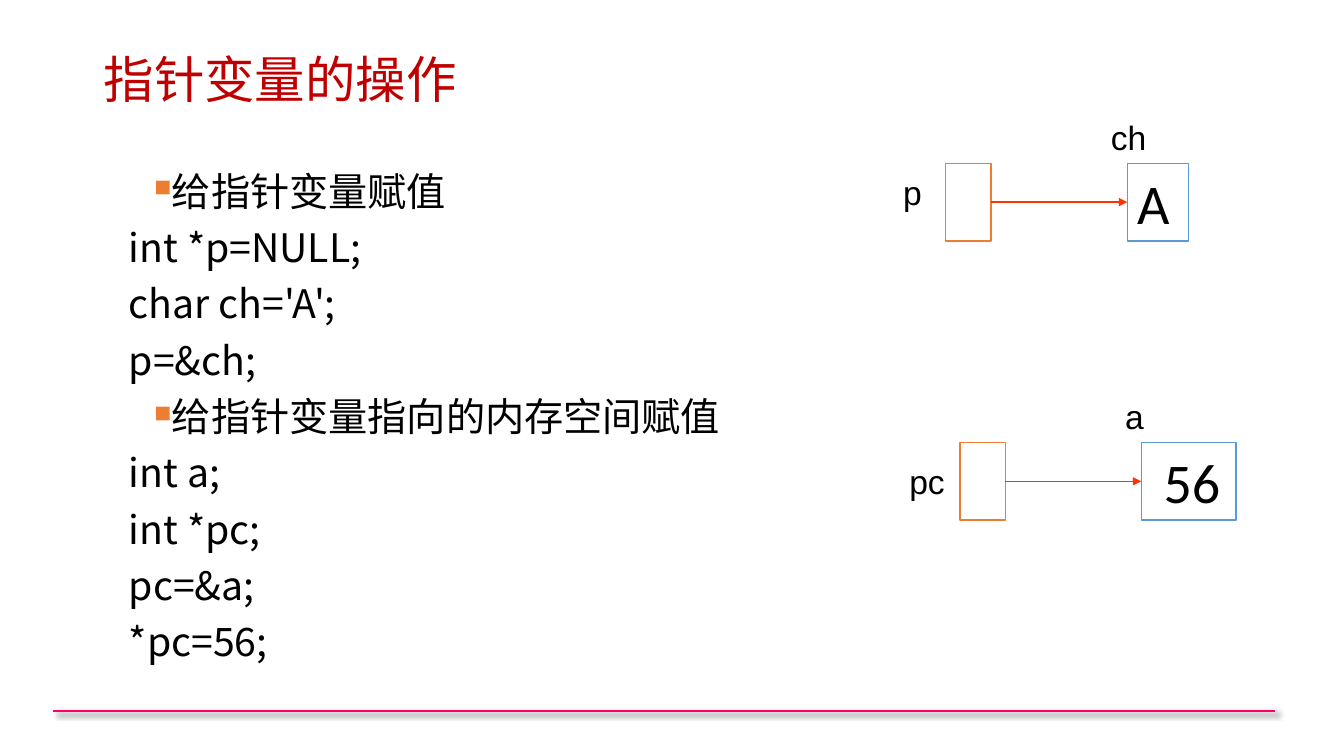
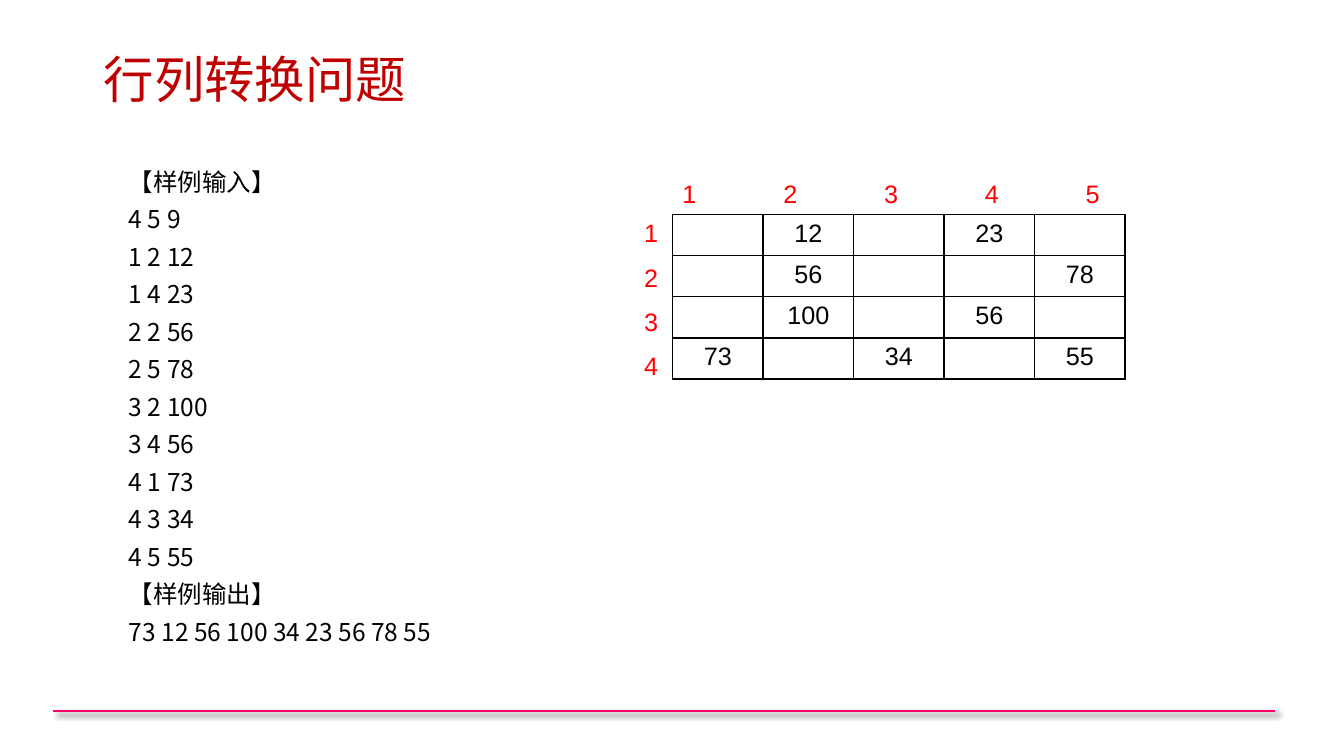
import pptx
import pptx.dml.color
import pptx.enum.shapes
import pptx.enum.text
import pptx.oxml
import pptx.oxml.ns
import pptx.util

Inches = pptx.util.Inches
Pt = pptx.util.Pt
ANCHOR = pptx.enum.text.MSO_ANCHOR
RECTANGLE = pptx.enum.shapes.MSO_SHAPE.RECTANGLE
STRAIGHT = pptx.enum.shapes.MSO_CONNECTOR.STRAIGHT
NAMESPACE = pptx.oxml.ns.nsdecls("a")

COLORS = {
    "title": "C00000",
    "text": "000000",
    "index": "FF0000",
    "footer": "FF0066",
    "bullet": "ED7D31",
    "pointer": "ED7D31",
    "target": "5B9BD5",
    "arrow": "FF3300",
    "paper": "FFFFFF",
}
STYLES = {
    "title": {"name": "Noto Sans CJK SC", "size": Pt(36), "color": "title"},
    "body": {"name": "Noto Sans CJK SC", "size": Pt(28), "color": "text"},
    "sample": {"name": "Noto Sans CJK SC", "size": Pt(17.5), "color": "text"},
    "value": {"name": "Calibri", "size": Pt(40), "color": "text"},
    "label": {"name": "Arial", "size": Pt(24), "color": "text"},
    "cell": {"name": "Arial", "size": Pt(18), "color": "text"},
    "index": {"name": "Arial", "size": Pt(18), "color": "index"},
}
TITLE_BOX = (0.93, 0.4, 11.5, 0.83)

POINTER_LINES = [
    "■给指针变量赋值",
    "int *p=NULL;",
    "char ch='A';",
    "p=&ch;",
    "■给指针变量指向的内存空间赋值",
    "int a;",
    "int *pc;",
    "pc=&a;",
    "*pc=56;",
]
SAMPLE_LINES = [
    "【样例输入】",
    "4 5 9",
    "1 2 12",
    "1 4 23",
    "2 2 56",
    "2 5 78",
    "3 2 100",
    "3 4 56",
    "4 1 73",
    "4 3 34",
    "4 5 55",
    "【样例输出】",
    "73 12 56 100 34 23 56 78 55",
]
MATRIX = [
    ["", "12", "", "23", ""],
    ["", "56", "", "", "78"],
    ["", "100", "", "56", ""],
    ["73", "", "34", "", "55"],
]


def rgb(name):
    """Return the named colour."""
    return pptx.dml.color.RGBColor.from_string(COLORS[name])


def append_xml(parent, xml):
    """Append a drawing element, written without its namespace, to a parent."""
    tag, rest = xml[1:].split(" ", 1)
    parent.append(pptx.oxml.parse_xml(f"<{tag} {NAMESPACE} {rest}"))


def write(paragraph, text, style):
    """Add a run of text in a named style."""
    run = paragraph.add_run()
    run.text = text
    for key, value in STYLES[style].items():
        if key == "color":
            run.font.color.rgb = rgb(value)
        else:
            setattr(run.font, key, value)
    append_xml(run.font._element, f'<a:ea typeface="{STYLES[style]["name"]}"/>')


def add_text(slide, box, lines, style, frame_format=None, paragraph_format=None, gap=0):
    """Add a text box with one paragraph a line and return its paragraphs."""
    frame = slide.shapes.add_textbox(*map(Inches, box)).text_frame
    for key, value in {"word_wrap": True, **(frame_format or {})}.items():
        setattr(frame, key, value)
    for number, line in enumerate(lines):
        paragraph = frame.add_paragraph() if number else frame.paragraphs[0]
        for key, value in (paragraph_format or {}).items():
            setattr(paragraph, key, value)
        if number and gap:
            paragraph.space_before = Pt(gap)
        write(paragraph, line.lstrip("■"), style)
    return frame.paragraphs


def add_line(slide, start, end, color, width, effects="", arrow=False):
    """Add a straight line with the given effects and an optional arrowhead."""
    line = slide.shapes.add_connector(STRAIGHT, *map(Inches, start + end))
    line.line.color.rgb = rgb(color)
    line.line.width = Pt(width)
    if arrow:
        append_xml(line.line._get_or_add_ln(), '<a:tailEnd type="triangle"/>')
    append_xml(line._element.spPr, f'<a:effectLst >{effects}</a:effectLst>')


def add_base_slide(presentation, title):
    """Add a slide with the shared title and footer line."""
    slide = presentation.slides.add_slide(presentation.slide_layouts[6])
    shadow = (
        f'<a:outerShdw blurRad="{Pt(4)}" dist="{Pt(3)}" dir="2700000">'
        '<a:srgbClr val="000000"><a:alpha val="40000"/></a:srgbClr></a:outerShdw>'
    )
    add_line(slide, (0.53, 7.05), (12.65, 7.05), "footer", 1.5, shadow)
    add_text(slide, TITLE_BOX, [title], "title",
             {"vertical_anchor": ANCHOR.MIDDLE}, {"line_spacing": 0.9})
    return slide


def add_body(slide, box, lines, style, spacing):
    """Add indented body lines, with a square bullet where a line starts with one."""
    paragraphs = add_text(slide, box, lines, style,
                          paragraph_format={"line_spacing": spacing}, gap=10)
    for paragraph, line in zip(paragraphs, lines):
        properties = paragraph._element.get_or_add_pPr()
        bulleted = line.startswith("■")
        properties.set("marL", str(Inches(0.25)))
        properties.set("indent", str(Inches(0.25) if bulleted else 0))
        if bulleted:
            append_xml(properties, f'<a:buClr ><a:srgbClr val="{COLORS["bullet"]}"/></a:buClr>')
            append_xml(properties, '<a:buSzPct val="60000"/>')
            append_xml(properties, '<a:buFont typeface="Wingdings" charset="2"/>')
            append_xml(properties, '<a:buChar char="n"/>')


def add_memory_cell(slide, box, color, value="", inset=0.1):
    """Add an outlined memory cell, with its value if it has one."""
    shape = slide.shapes.add_shape(RECTANGLE, *map(Inches, box))
    shape.shadow.inherit = False
    shape.fill.solid()
    shape.fill.fore_color.rgb = rgb("paper")
    shape.line.color.rgb = rgb(color)
    shape.line.width = Pt(1)
    frame = shape.text_frame
    frame_format = {"vertical_anchor": ANCHOR.TOP, "margin_left": Inches(inset)}
    for key, setting in frame_format.items():
        setattr(frame, key, setting)
    if value:
        frame.paragraphs[0].alignment = pptx.enum.text.PP_ALIGN.LEFT
        write(frame.paragraphs[0], value, "value")


def add_pointer_diagram(slide, box, pointer, pointer_offset, target, value, inset):
    """Draw a pointer cell with an arrow to its target inside the box."""
    left, top, width, height = box
    pointer_width, target_offset = 0.45, 1.8
    target_left = left + target_offset
    middle = top + height / 2
    across, down = pointer_offset
    add_memory_cell(slide, (target_left, top, width - target_offset, height),
                    "target", value, inset)
    add_memory_cell(slide, (left, top, pointer_width, height), "pointer")
    add_line(slide, (left + pointer_width, middle), (target_left, middle),
             "arrow", 1, arrow=True)
    labels = [(target, target_left - 0.26, top - 0.51), (pointer, left + across, top + down)]
    for text, label_left, label_top in labels:
        add_text(slide, (label_left, label_top, 0.56, 0.5), [text], "label",
                 {"word_wrap": False})


def add_matrix(slide, box, rows):
    """Add the bordered matrix with its column and row numbers."""
    left, top, width, height = box
    table = slide.shapes.add_table(len(rows), len(rows[0]), *map(Inches, box)).table
    for key in ("first_row", "horz_banding"):
        setattr(table, key, False)
    for column in table.columns:
        column.width = Inches(width / len(rows[0]))
    for row, values in zip(table.rows, rows):
        row.height = Inches(height / len(rows))
        for cell, value in zip(row.cells, values):
            for side in "LRTB":
                append_xml(cell._tc.get_or_add_tcPr(),
                           f'<a:ln{side} w="{Pt(1)}"><a:solidFill><a:srgbClr '
                           f'val="{COLORS["text"]}"/></a:solidFill></a:ln{side}>')
            cell.fill.background()
            if value:
                paragraph = cell.text_frame.paragraphs[0]
                paragraph.alignment = pptx.enum.text.PP_ALIGN.CENTER
                write(paragraph, value, "cell")
    column_numbers = "\t".join(str(number + 1) for number in range(len(rows[0])))
    row_numbers = [str(number + 1) for number in range(len(rows))]
    header = add_text(slide, (left, top - 0.41, 4.38, 0.4), [column_numbers], "index",
                      {"word_wrap": False})[0]
    stops = "".join(f'<a:tab pos="{Inches(number)}" algn="l"/>'
                    for number in range(1, len(rows[0])))
    append_xml(header._element.get_or_add_pPr(), f"<a:tabLst >{stops}</a:tabLst>")
    add_text(slide, (left - 0.38, top - 0.02, 0.34, 1.73), row_numbers, "index", gap=10)


def build_pointer_slide(presentation):
    """Build the slide on pointer variables."""
    slide = add_base_slide(presentation, "指针变量的操作")
    add_body(slide, (0.93, 1.66, 7.16, 5.1), POINTER_LINES, "body", 0.9)
    add_pointer_diagram(slide, (9.38, 1.62, 2.41, 0.77), "p", (-0.52, 0.04), "ch", "A", 0.1)
    add_pointer_diagram(slide, (9.52, 4.39, 2.74, 0.77), "pc", (-0.6, 0.13), "a", "56", 0.22)


def build_matrix_slide(presentation):
    """Build the slide on swapping rows and columns."""
    slide = add_base_slide(presentation, "行列转换问题")
    add_body(slide, (0.93, 1.66, 4.72, 5.1), SAMPLE_LINES, "sample", 0.8)
    add_matrix(slide, (6.67, 2.13, 4.49, 1.63), MATRIX)


def main():
    """Build and save the presentation."""
    presentation = pptx.Presentation()
    presentation.slide_width = Inches(13.33)
    presentation.slide_height = Inches(7.5)
    build_pointer_slide(presentation)
    build_matrix_slide(presentation)
    presentation.save("out.pptx")


if __name__ == "__main__":
    main()
